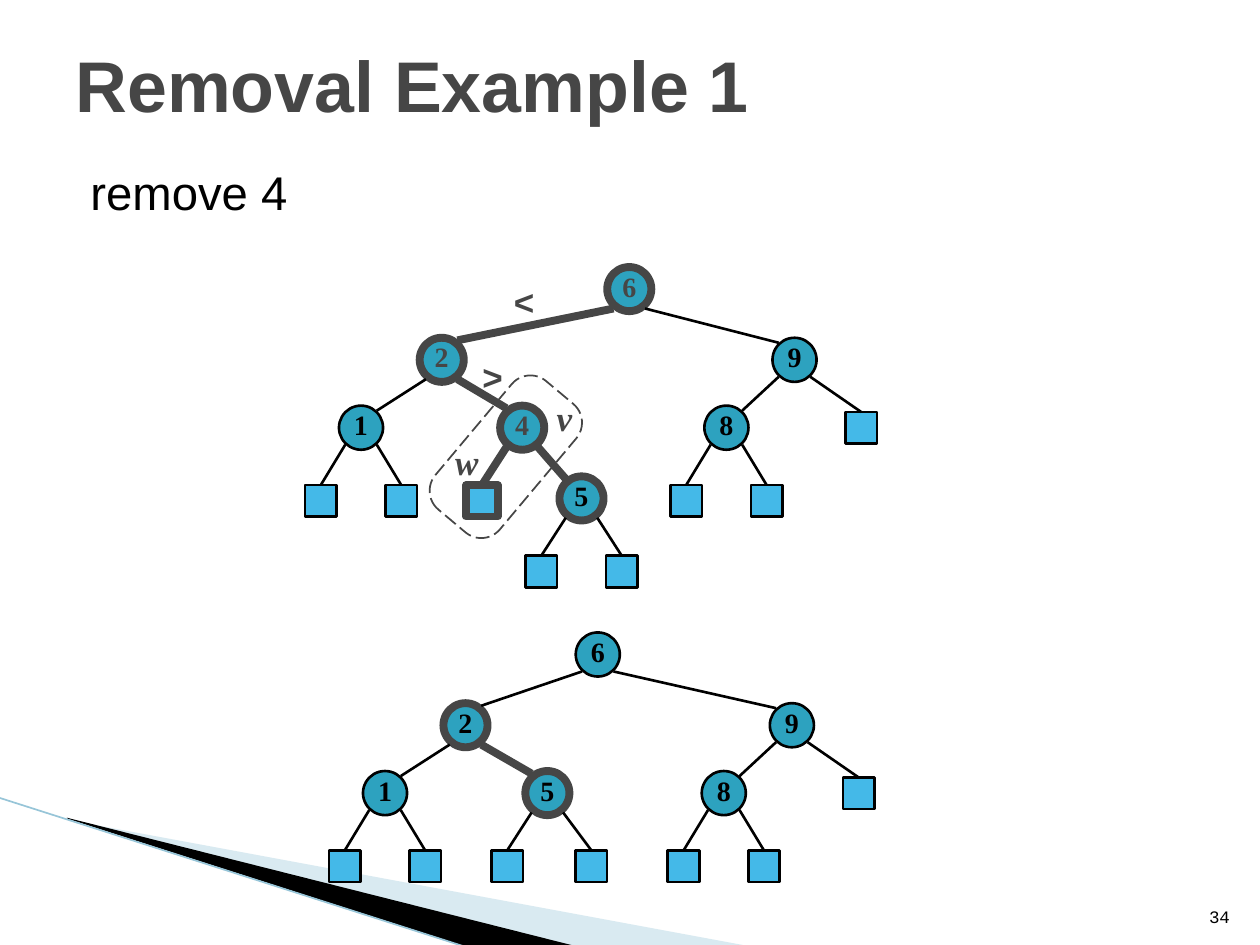
from lxml.etree import SubElement
from pptx import Presentation
from pptx.dml.color import RGBColor
from pptx.enum.dml import MSO_LINE
from pptx.enum.shapes import MSO_CONNECTOR, MSO_SHAPE
from pptx.enum.text import MSO_ANCHOR, PP_ALIGN
from pptx.oxml.ns import qn
from pptx.util import Pt

COLORS = {
    "ink": "000000",
    "accent": "464646",
    "node": "2DA2BF",
    "leaf": "44B9E8",
    "wedge": "A0CBDC",
    "edge_line": "97C5D8",
}
THIN, THICK = 1.5, 4.5
RADIUS, LEAF_SIZE = 12.6, 18
LEVELS = [0, 40.4, 79.2, 119.6]
LEAF_DX, LEAF_DROP = 23, 41.8
PAIR = [-LEAF_DX, LEAF_DX]

# label: (parent, x, level, highlighted, text colour)
BEFORE = {
    "6": (None, 359.6, 0, True, "accent"),
    "9": ("6", 454, 1, False, "ink"),
    "2": ("6", 252.4, 1, True, "accent"),
    "4": ("2", 298.4, 2, True, "accent"),
    "1": ("2", 206.3, 2, False, "ink"),
    "8": ("9", 415.1, 2, False, "ink"),
    "5": ("4", 332.3, 3, True, "ink"),
}
AFTER = {
    "6": (None, 341.6, 0, False, "ink"),
    "9": ("6", 452.5, 1, False, "ink"),
    "2": ("6", 266, 1, True, "ink"),
    "5": ("2", 312.8, 2, True, "ink"),
    "1": ("2", 220, 2, False, "ink"),
    "8": ("9", 413.6, 2, False, "ink"),
}


def rgb(name):
    return RGBColor.from_string(COLORS[name])


def write(frame, text, size=16, font="Arial", color="ink", bold=False, italic=False,
          align=PP_ALIGN.LEFT, anchor=MSO_ANCHOR.TOP, wrap=True):
    frame.word_wrap = wrap
    frame.vertical_anchor = anchor
    paragraph = frame.paragraphs[0]
    paragraph.alignment = align
    run = paragraph.add_run()
    run.text = text
    run.font.size, run.font.name = Pt(size), font
    run.font.bold, run.font.italic = bold, italic
    run.font.color.rgb = rgb(color)
    return paragraph


class TreeSlide:
    """Draws search trees and text on one slide in a shared style."""

    def __init__(self, slide):
        self.shapes = slide.shapes

    def text(self, text, left, top, width, height, **style):
        box = self.shapes.add_textbox(Pt(left), Pt(top), Pt(width), Pt(height))
        return write(box.text_frame, text, **style)

    def shape(self, kind, left, top, width, height, fill, line, weight):
        shape = self.shapes.add_shape(kind, Pt(left), Pt(top), Pt(width), Pt(height))
        shape.shadow.inherit = False
        if fill:
            shape.fill.solid()
            shape.fill.fore_color.rgb = rgb(fill)
        else:
            shape.fill.background()
        shape.line.color.rgb = rgb(line)
        shape.line.width = Pt(weight)
        return shape

    def marked(self, kind, x, y, size, fill, highlighted):
        return self.shape(kind, x - size / 2, y - size / 2, size, size, fill,
                          "accent" if highlighted else "ink",
                          THICK if highlighted else THIN)

    def node(self, label, x, y, highlighted, color):
        circle = self.marked(MSO_SHAPE.OVAL, x, y, 2 * RADIUS, "node", highlighted)
        frame = circle.text_frame
        frame.margin_left = frame.margin_top = frame.margin_right = 0
        frame.margin_bottom = Pt(3.6)
        write(frame, label, font="Times New Roman", color=color, bold=True,
              align=PP_ALIGN.CENTER, anchor=MSO_ANCHOR.MIDDLE, wrap=False)

    def line(self, start, end, color="ink", weight=THIN):
        line = self.shapes.add_connector(MSO_CONNECTOR.STRAIGHT, *map(Pt, start + end))
        line.line.color.rgb = rgb(color)
        line.line.width = Pt(weight)
        SubElement(line._element.spPr, qn("a:effectLst"))
        return line

    def polygon(self, points, color, opacity=100):
        corners = [(Pt(x), Pt(y)) for x, y in points]
        builder = self.shapes.build_freeform(*corners[0])
        builder.add_line_segments(corners[1:], close=True)
        shape = builder.convert_to_shape()
        shape.shadow.inherit = False
        shape.fill.solid()
        shape.fill.fore_color.rgb = rgb(color)
        shape.line.fill.background()
        if opacity < 100:
            fill = shape._element.spPr.find(qn("a:solidFill"))
            SubElement(fill[0], qn("a:alpha"), val=str(opacity * 1000))

    def tree(self, nodes, leaves, top):
        def place(label):
            _, x, level, highlighted, _ = nodes[label]
            return x, top + LEVELS[level], highlighted

        def corner(label, side, down):
            x, y, highlighted = place(label)
            return x + 9 * side, y + (11.1 if highlighted else 9.7) * down

        def style(highlighted):
            return ("accent", THICK) if highlighted else ("ink", THIN)

        for label, (*_, color) in nodes.items():
            self.node(label, *place(label), color)
        for label, (parent, *_) in nodes.items():
            if parent:
                x, _, highlighted = place(label)
                parent_x, _, parent_highlighted = place(parent)
                side = 1 if x > parent_x else -1
                self.line(corner(parent, side, 1), corner(label, -side, -1),
                          *style(highlighted and parent_highlighted))
        for parent, offsets, drop, highlighted in leaves:
            x, y, _ = place(parent)
            for dx in offsets:
                leaf = self.marked(MSO_SHAPE.RECTANGLE, x + dx, y + drop,
                                   LEAF_SIZE, "leaf", highlighted)
                start = corner(parent, 1 if dx > 0 else -1, 1)
                end = (x + dx, y + drop - LEAF_SIZE / 2)
                self.line(start, end, *style(highlighted)).end_connect(leaf, 0)


def main():
    deck = Presentation()
    deck.slide_width, deck.slide_height = Pt(720), Pt(540)
    page = TreeSlide(deck.slides.add_slide(deck.slide_layouts[6]))

    page.polygon([(39.6, 468.7), (428.4, 540.7), (328.3, 540.7), (39.6, 468)], "wedge", 40)
    page.polygon([(38.2, 467.3), (329, 540.7), (267.8, 541.4), (38.9, 468)], "ink")
    page.line((-0.7, 455.8), (267.1, 541.4), "edge_line", 0.95)
    page.text("34", 681.1, 504.7, 28.8, 28.8, size=10, font="Courier New",
              align=PP_ALIGN.RIGHT, anchor=MSO_ANCHOR.BOTTOM)
    page.text("Removal Example 1", 36, 18, 648, 59.8, size=41, color="accent",
              bold=True, anchor=MSO_ANCHOR.MIDDLE)
    task = page.text("remove 4", 36, 90, 306, 54, size=27)
    task.space_before = Pt(4)
    indent = task._p.get_or_add_pPr()
    indent.set("marL", str(Pt(28.8)))
    indent.set("indent", str(Pt(-20.2)))

    shared = [("1", PAIR, LEAF_DROP, False), ("8", PAIR, LEAF_DROP, False),
              ("9", [38.2], 38.9, False)]
    page.tree(BEFORE, shared + [("4", [-LEAF_DX], LEAF_DROP, True),
                                ("5", PAIR, LEAF_DROP, False)], 165.2)
    page.tree(AFTER, shared + [("5", [-LEAF_DX, 25.2], LEAF_DROP, False)], 374)

    for mark, left, top, width, font in [
        ("v", 311, 223.2, 23, "Times New Roman"),
        ("w", 252.7, 248.4, 28.1, "Times New Roman"),
        ("<", 286.6, 157, 25.2, "Arial"),
        (">", 268.6, 199.4, 25.2, "Arial"),
    ]:
        page.text(mark, left, top, width, 31, size=20, font=font, color="accent",
                  bold=True, italic=mark.isalpha(), align=PP_ALIGN.CENTER, wrap=False)

    removed = page.shape(MSO_SHAPE.ROUNDED_RECTANGLE, 241.2, 236.9, 95.8, 48.2,
                         None, "accent", 1)
    removed.adjustments[0] = 0.29
    removed.rotation = 310
    removed.line.dash_style = MSO_LINE.LONG_DASH

    deck.save("out.pptx")


if __name__ == "__main__":
    main()
